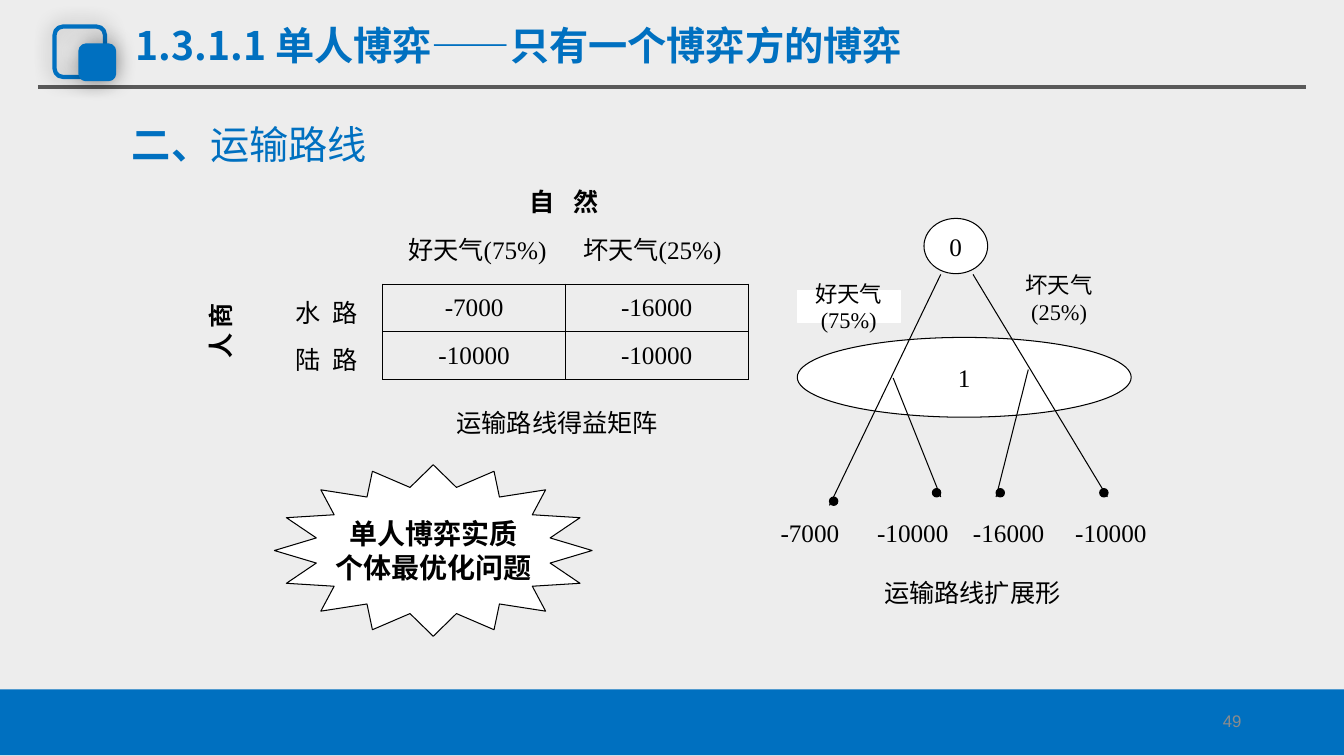
from dataclasses import dataclass

from lxml import etree
from pptx import Presentation
from pptx.dml.color import RGBColor
from pptx.enum.shapes import MSO_CONNECTOR, MSO_SHAPE
from pptx.enum.text import MSO_ANCHOR, PP_ALIGN
from pptx.oxml import parse_xml
from pptx.oxml.ns import nsdecls, qn
from pptx.util import Pt


@dataclass(frozen=True)
class Theme:
    blue: RGBColor = RGBColor(0x00, 0x70, 0xC0)
    black: RGBColor = RGBColor(0, 0, 0)
    white: RGBColor = RGBColor(255, 255, 255)
    page: RGBColor = RGBColor(0xED, 0xED, 0xED)
    rule: RGBColor = RGBColor(0x59, 0x59, 0x59)
    number: RGBColor = RGBColor(0x8C, 0x8C, 0x8C)
    sans: str = "Noto Sans CJK SC"
    serif: str = "Times New Roman"
    arial: str = "Arial"
    title: int = 28
    callout: int = 20
    body: int = 18
    branch: int = 16
    small: int = 12
    thin: float = 0.75
    thick: float = 3


T = Theme()


def style(p, size=T.body, color=T.black, name=T.serif, bold=False,
          align=PP_ALIGN.CENTER, spacing=0):
    p.alignment = align
    f = p.font
    f.size, f.bold, f.name = Pt(size), bold, name
    f.color.rgb = color
    props = p._p.pPr.find(qn("a:defRPr"))
    etree.SubElement(props, qn("a:ea")).set("typeface", T.sans)
    if spacing:
        props.set("spc", str(spacing))


def write(sp, lines, inset=0, anchor=MSO_ANCHOR.MIDDLE, **look):
    tf = sp.text_frame
    tf.word_wrap = False
    tf.vertical_anchor = anchor
    tf.margin_left = tf.margin_right = Pt(inset)
    tf.margin_top = tf.margin_bottom = Pt(inset / 2)
    for i, line in enumerate(lines):
        p = tf.paragraphs[0] if i == 0 else tf.add_paragraph()
        p.add_run().text = line
        style(p, **look)


def label(s, x, y, w, h, *lines, **look):
    sp = s.shapes.add_textbox(Pt(x), Pt(y), Pt(w), Pt(h))
    write(sp, lines, **look)
    return sp


def shape(s, kind, x, y, w, h, fill=None, line=None, weight=T.thin):
    sp = s.shapes.add_shape(kind, Pt(x), Pt(y), Pt(w), Pt(h))
    sp.shadow.inherit = False
    if fill is None:
        sp.fill.background()
    else:
        sp.fill.solid()
        sp.fill.fore_color.rgb = fill
    if line is None:
        sp.line.fill.background()
    else:
        sp.line.color.rgb = line
        sp.line.width = Pt(weight)
    return sp


def connect(s, x1, y1, x2, y2, color=T.black, weight=T.thin):
    c = s.shapes.add_connector(MSO_CONNECTOR.STRAIGHT, Pt(x1), Pt(y1), Pt(x2), Pt(y2))
    c.line.color.rgb = color
    c.line.width = Pt(weight)
    etree.SubElement(c._element.spPr, qn("a:effectLst"))


def header(s, x, y, w):
    connect(s, x, y + 62, x + w, y + 62, T.rule, T.thick)
    for dx, dy, side, fill in ((12, 19, 36, None), (30.5, 32.5, 24, T.blue)):
        sp = shape(s, MSO_SHAPE.ROUNDED_RECTANGLE, x + dx, y + dy, side, side,
                   fill, T.blue, T.thick)
        effects = sp._element.spPr.find(qn("a:effectLst"))
        effects.append(parse_xml(
            f'<a:outerShdw {nsdecls("a")} blurRad="{Pt(15)}" dist="0">'
            '<a:srgbClr val="000000"><a:alpha val="40000"/></a:srgbClr></a:outerShdw>'))
    label(s, x + 63, y + 12, 574, 41, "1.3.1.1 单人博弈——只有一个博弈方的博弈",
          inset=7.2, anchor=MSO_ANCHOR.TOP, size=T.title, color=T.blue,
          name=T.sans, bold=True, align=PP_ALIGN.LEFT)


def footer(s, x, y, w, h):
    shape(s, MSO_SHAPE.RECTANGLE, x, y, w, h, T.blue)
    label(s, x + w - 282, y + 7.5, 216, 29, "49", inset=7.2, size=T.small,
          color=T.number, name=T.arial, align=PP_ALIGN.RIGHT)


def title(s, x, y, w, h):
    sp = s.shapes.title
    sp.left, sp.top, sp.width, sp.height = Pt(x), Pt(y), Pt(w), Pt(h)
    tf = sp.text_frame
    tf.vertical_anchor = MSO_ANCHOR.MIDDLE
    p = tf.paragraphs[0]
    r = p.add_run()
    r.text, r.font.bold = "二、", True
    p.add_run().text = "运输路线"
    p.line_spacing = 0.9
    style(p, T.title, T.blue, T.sans, align=PP_ALIGN.LEFT)


def border(cell):
    props = cell._tc.get_or_add_tcPr()
    for i, side in enumerate(("lnL", "lnR", "lnT", "lnB")):
        props.insert(i, parse_xml(
            f'<a:{side} {nsdecls("a")} w="{Pt(T.thin)}"><a:solidFill>'
            f'<a:srgbClr val="{T.black}"/></a:solidFill></a:{side}>'))


def payoff_matrix(s, x, y, col=130.4, row=34):
    payoffs = (("-7000", "-16000"), ("-10000", "-10000"))
    table = s.shapes.add_table(2, 2, Pt(x), Pt(y), Pt(2 * col), Pt(2 * row)).table
    table.first_row = table.horz_banding = False
    for i, values in enumerate(payoffs):
        table.rows[i].height = Pt(row)
        table.columns[i].width = Pt(col)
        for j, value in enumerate(values):
            cell = table.cell(i, j)
            cell.fill.background()
            cell.margin_top = cell.margin_bottom = 0
            cell.vertical_anchor = MSO_ANCHOR.MIDDLE
            cell.text = value
            style(cell.text_frame.paragraphs[0])
            border(cell)
    label(s, x + 73, y - 73, 113, 28, "自 然", bold=True, spacing=450)
    for dx, text in ((11, "好天气(75%)"), (136, "坏天气(25%)")):
        label(s, x + dx, y - 39, 113, 28, text)
    for i, text in enumerate(("水 路", "陆 路")):
        label(s, x - 74, y + 6 + i * row, 68, 28, text, spacing=225)
    player = label(s, x - 167, y + 20, 113, 28, "商", "人", bold=True)
    player.rotation = 90
    body = player.text_frame._txBody.bodyPr
    body.set("vert", "eaVert")
    body.set("rot", "10800000")
    label(s, x + 28, y + 85, 193, 28, "运输路线得益矩阵")


def game_tree(s, x, y):
    nodes = (("0", 107, 0, 45.5, 39.5), ("1", 16.5, 85, 238.5, 57))
    for text, dx, dy, w, h in nodes:
        write(shape(s, MSO_SHAPE.OVAL, x + dx, y + dy, w, h, T.white, T.black), [text])
    branches = ((119, 40, 39.5, 205), (142, 40, 238, 199),
                (85, 114, 119, 199), (181.5, 108, 158.5, 199))
    for x1, y1, x2, y2 in branches:
        connect(s, x + x1, y + y1, x + x2, y + y2)
    outcomes = (("-7000", 39.5, 199, 0), ("-10000", 113, 193, 73.5),
                ("-16000", 158.5, 193, 142), ("-10000", 232.5, 193, 215))
    for text, dx, dy, label_dx in outcomes:
        shape(s, MSO_SHAPE.FLOWCHART_CONNECTOR, x + dx, y + dy, 6, 6, T.black, T.black)
        label(s, x + label_dx, y + 216, 51, 17, text)
    label(s, x + 51, y + 256, 181, 23, "运输路线扩展形")
    good = shape(s, MSO_SHAPE.RECTANGLE, x + 16.5, y + 51.5, 73.5, 23, T.white, T.white)
    write(good, ("好天气", "(75%)"), size=T.branch)
    label(s, x + 164, y + 45.5, 79, 23, "坏天气", "(25%)", size=T.branch)


def callout(s, x, y, w, h):
    star = shape(s, MSO_SHAPE.STAR_16_POINT, x, y, w, h, T.white, T.black)
    star.adjustments[0] = 0.375
    write(star, ("单人博弈实质", "个体最优化问题"), size=T.callout, bold=True)


def main():
    prs = Presentation()
    prs.slide_width, prs.slide_height = Pt(960), Pt(540)
    s = prs.slides.add_slide(prs.slide_layouts[5])
    s.background.fill.solid()
    s.background.fill.fore_color.rgb = T.page
    header(s, 27, 0, 906)
    footer(s, 0, 492.5, 960, 47)
    title(s, 87, 87, 373, 36)
    payoff_matrix(s, 273.5, 203)
    game_tree(s, 553, 156)
    callout(s, 196, 332, 227, 122.5)
    prs.save("out.pptx")


if __name__ == "__main__":
    main()
